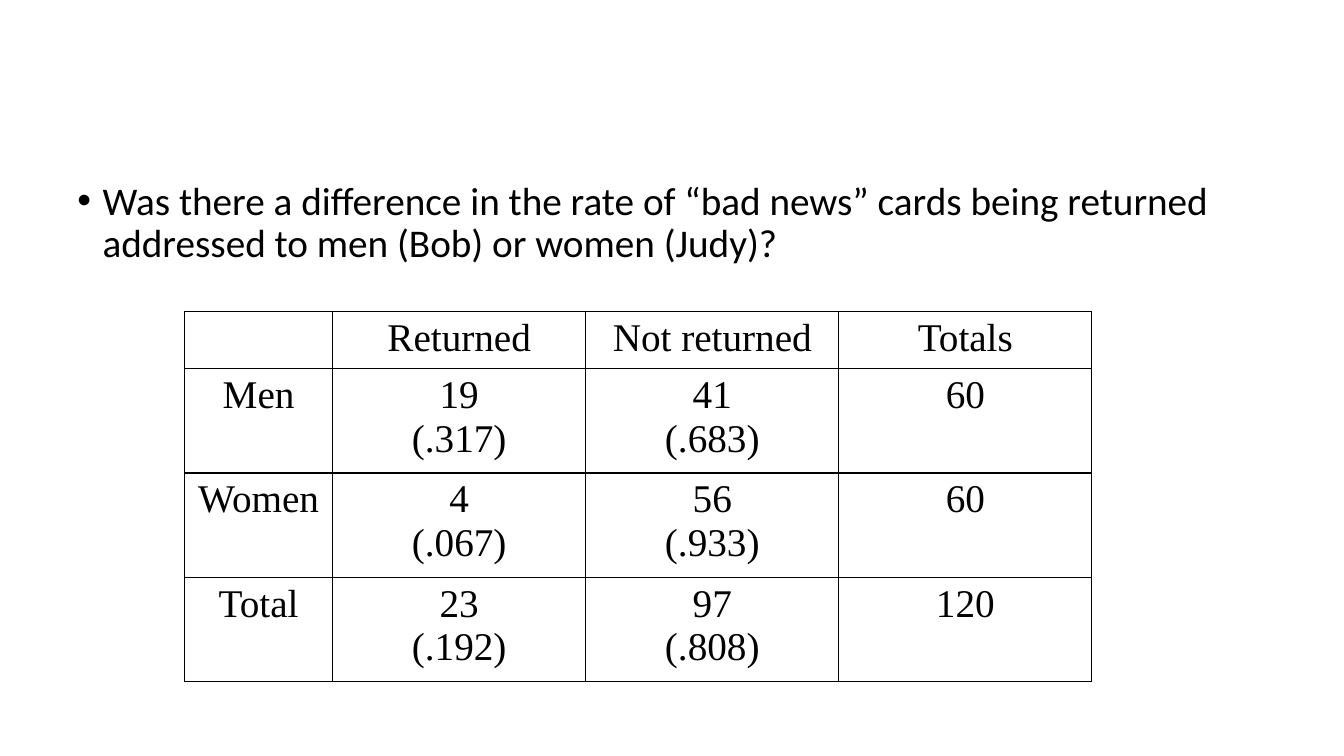
from lxml import etree
from pptx import Presentation
from pptx.dml.color import RGBColor
from pptx.enum.text import PP_ALIGN
from pptx.oxml.ns import qn
from pptx.util import Inches, Pt

CENTER = PP_ALIGN.CENTER
BLACK = "000000"
BLANK_LAYOUT = 6

QUESTION = ("Was there a difference in the rate of “bad news” cards being returned "
            "addressed to men (Bob) or women (Judy)?")
RETURN_RATES = [
    [[], ["Returned"], ["Not returned"], ["Totals"]],
    [["Men"], ["19", "(.317)"], ["41", "(.683)"], ["60"]],
    [["Women"], ["4", "(.067)"], ["56", "(.933)"], ["60"]],
    [["Total"], ["23", "(.192)"], ["97", "(.808)"], ["120"]],
]
COL_WIDTHS = [1.47, 2.51, 2.51, 2.51]
ROW_HEIGHTS = [0.53, 0.96, 0.96, 0.96]


def rgb(color):
    return RGBColor.from_string(color)


def add_run(p, text, font):
    r = p.add_run()
    r.text = text
    r.font.name = font
    r.font.size = Pt(28)
    r.font.color.rgb = rgb(BLACK)


def set_hanging(p, indent):
    pPr = p._p.get_or_add_pPr()
    pPr.set("marL", str(Inches(indent)))
    pPr.set("indent", str(-Inches(indent)))
    return pPr


def add_bullet_text(s, text, left, top, width, height):
    sp = s.shapes.add_textbox(Inches(left), Inches(top), Inches(width), Inches(height))
    tf = sp.text_frame
    tf.word_wrap = True
    p = tf.paragraphs[0]
    p.line_spacing = 0.9
    p.space_before = Pt(10)
    pPr = set_hanging(p, 0.25)
    etree.SubElement(pPr, qn("a:buFont"), typeface="Arial")
    etree.SubElement(pPr, qn("a:buChar"), char="•")
    add_run(p, text, "Calibri")


def set_borders(cell, color, width):
    tcPr = cell._tc.get_or_add_tcPr()
    for side in ("a:lnL", "a:lnR", "a:lnT", "a:lnB"):
        ln = etree.SubElement(tcPr, qn(side), w=str(Pt(width)))
        fill = etree.SubElement(ln, qn("a:solidFill"))
        etree.SubElement(fill, qn("a:srgbClr"), val=color)


def fill_cell(cell, lines):
    # Borders come before the fill in the cell properties
    set_borders(cell, BLACK, 1)
    cell.fill.background()
    tf = cell.text_frame
    for i, line in enumerate(lines):
        p = tf.add_paragraph() if i else tf.paragraphs[0]
        p.alignment = CENTER
        set_hanging(p, 0.38)
        add_run(p, line, "Times New Roman")


def add_grid(s, rows, left, top):
    frame = s.shapes.add_table(len(rows), len(COL_WIDTHS), Inches(left), Inches(top),
                               Inches(sum(COL_WIDTHS)), Inches(sum(ROW_HEIGHTS)))
    table = frame.table
    table.first_row = False
    table.horz_banding = False
    for column, width in zip(table.columns, COL_WIDTHS):
        column.width = Inches(width)
    for row, height, values in zip(table.rows, ROW_HEIGHTS, rows):
        row.height = Inches(height)
        for cell, lines in zip(row.cells, values):
            fill_cell(cell, lines)


def main():
    prs = Presentation()
    prs.slide_width = Inches(13.33)
    prs.slide_height = Inches(7.5)
    s = prs.slides.add_slide(prs.slide_layouts[BLANK_LAYOUT])

    # Question
    add_bullet_text(s, QUESTION, 0.67, 1.75, 12, 2.39)

    # Return rates by addressee
    add_grid(s, RETURN_RATES, 1.83, 3.09)

    prs.save("out.pptx")


if __name__ == "__main__":
    main()
